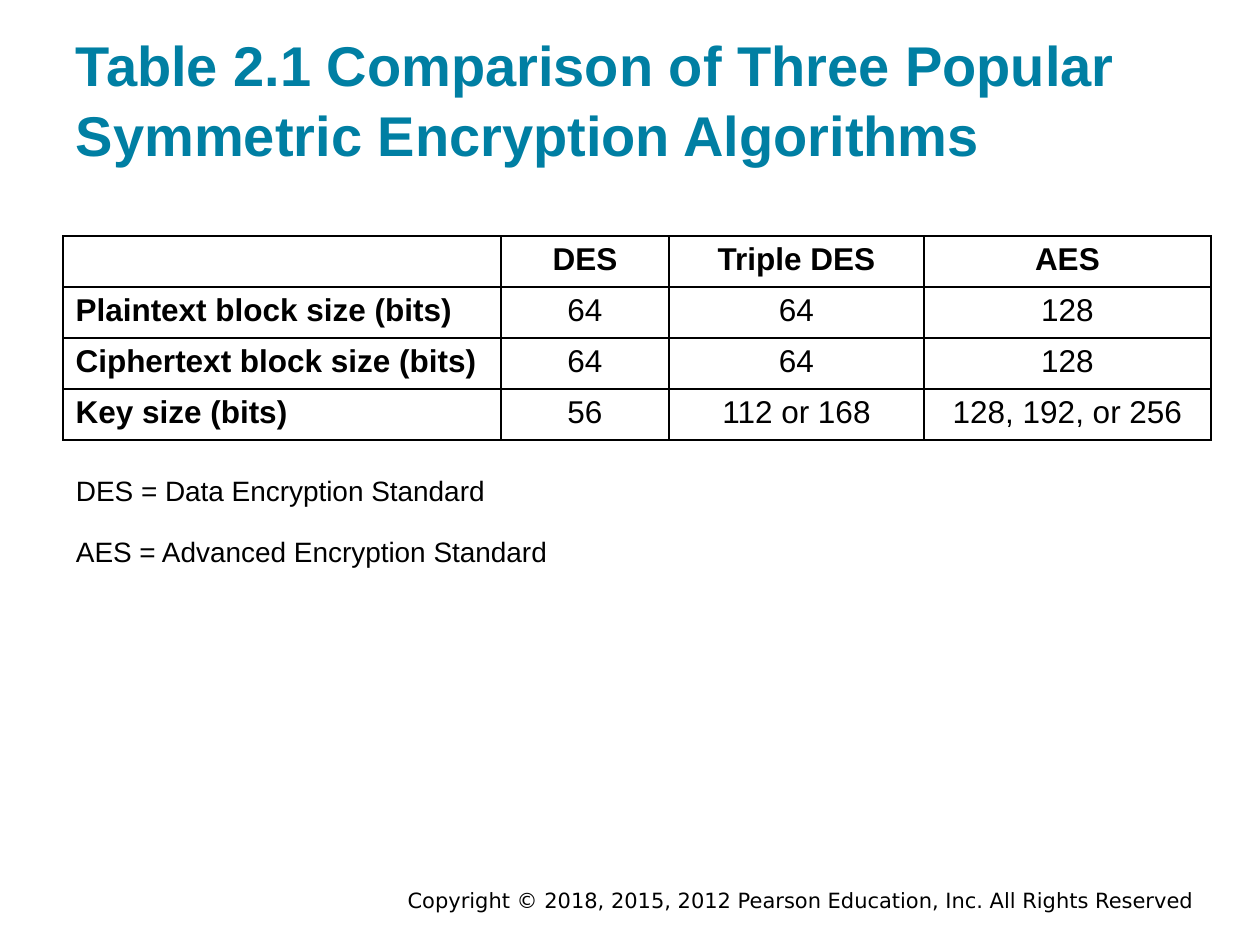
from lxml import etree
from pptx import Presentation
from pptx.dml.color import RGBColor
from pptx.enum.text import MSO_ANCHOR, PP_ALIGN
from pptx.oxml.ns import qn
from pptx.util import Emu, Pt

LEFT, CENTER, RIGHT = PP_ALIGN.LEFT, PP_ALIGN.CENTER, PP_ALIGN.RIGHT
TOP, MIDDLE, BOTTOM = MSO_ANCHOR.TOP, MSO_ANCHOR.MIDDLE, MSO_ANCHOR.BOTTOM
TEAL = RGBColor(0x00, 0x7F, 0xA3)
BLACK = RGBColor(0x00, 0x00, 0x00)
PX_PER_INCH = 126
COLUMN_WIDTHS = (438, 168, 255, 287)
ROW_HEIGHT = 51
COMPARISON = (
    ("", "DES", "Triple DES", "AES"),
    ("Plaintext block size (bits)", "64", "64", "128"),
    ("Ciphertext block size (bits)", "64", "64", "128"),
    ("Key size (bits)", "56", "112 or 168", "128, 192, or 256"),
)


def px(length):
    """Turn pixels into EMU."""
    return Emu(round(length * 914400 / PX_PER_INCH))


def write(frame, *lines, size, font="Arial", color=BLACK, bold=False,
          align=LEFT, gap=0, spacing=None):
    """Write one paragraph per line into a text frame."""
    for index, line in enumerate(lines):
        paragraph = frame.add_paragraph() if index else frame.paragraphs[0]
        paragraph.text = line
        paragraph.alignment = align
        paragraph.space_before = Pt(gap if index else 0)
        if spacing:
            paragraph.line_spacing = spacing
        paragraph.font.name = font
        paragraph.font.size = Pt(size)
        paragraph.font.bold = bold
        paragraph.font.color.rgb = color


def add_frame(slide, box, anchor, inset_y):
    """Add a wrapping text box and return its text frame."""
    frame = slide.shapes.add_textbox(*map(px, box)).text_frame
    frame.word_wrap = True
    frame.vertical_anchor = anchor
    frame.margin_left = frame.margin_right = px(13)
    frame.margin_top = frame.margin_bottom = px(inset_y)
    return frame


def add_title(slide, box):
    """Place the slide title at the bottom of its box."""
    write(add_frame(slide, box, BOTTOM, 13),
          "Table 2.1 Comparison of Three Popular Symmetric Encryption Algorithms",
          size=32, color=TEAL, bold=True, spacing=1.04)


def add_borders(cell):
    """Draw a one-point black line on each side of a cell."""
    properties = cell._tc.get_or_add_tcPr()
    for side in ("a:lnL", "a:lnR", "a:lnT", "a:lnB"):
        line = etree.SubElement(properties, qn(side), w=str(Pt(1)))
        fill = etree.SubElement(line, qn("a:solidFill"))
        etree.SubElement(fill, qn("a:srgbClr"), val=str(BLACK))


def add_comparison(slide, left, top):
    """Place the algorithm comparison table."""
    size = sum(COLUMN_WIDTHS), ROW_HEIGHT * len(COMPARISON)
    table = slide.shapes.add_table(len(COMPARISON), len(COLUMN_WIDTHS),
                                   *map(px, (left, top, *size))).table
    table.horz_banding = False
    for column, width in zip(table.columns, COLUMN_WIDTHS):
        column.width = px(width)
    for r, values in enumerate(COMPARISON):
        table.rows[r].height = px(ROW_HEIGHT)
        for c, value in enumerate(values):
            cell = table.cell(r, c)
            add_borders(cell)
            cell.fill.background()
            write(cell.text_frame, value, size=18, bold=r == 0 or c == 0,
                  align=CENTER if c else LEFT)


def add_abbreviations(slide, box):
    """Place the expansions of the abbreviations."""
    write(add_frame(slide, box, TOP, 13),
          "DES = Data Encryption Standard",
          "AES = Advanced Encryption Standard",
          size=16, gap=15, spacing=1.04)


def add_copyright(slide, box):
    """Place the copyright line."""
    write(add_frame(slide, box, MIDDLE, 6),
          "Copyright © 2018, 2015, 2012 Pearson Education, Inc. All Rights Reserved",
          size=12, font="DejaVu Sans", align=RIGHT)


def main():
    """Build and save the slide."""
    presentation = Presentation()
    presentation.slide_width, presentation.slide_height = px(1260), px(945)
    slide = presentation.slides.add_slide(presentation.slide_layouts[6])
    add_copyright(slide, (220, 886, 987, 28))
    add_title(slide, (63, 30, 1134, 151))
    add_comparison(slide, 63, 236)
    add_abbreviations(slide, (63, 459, 553, 125))
    presentation.save("out.pptx")


if __name__ == "__main__":
    main()
